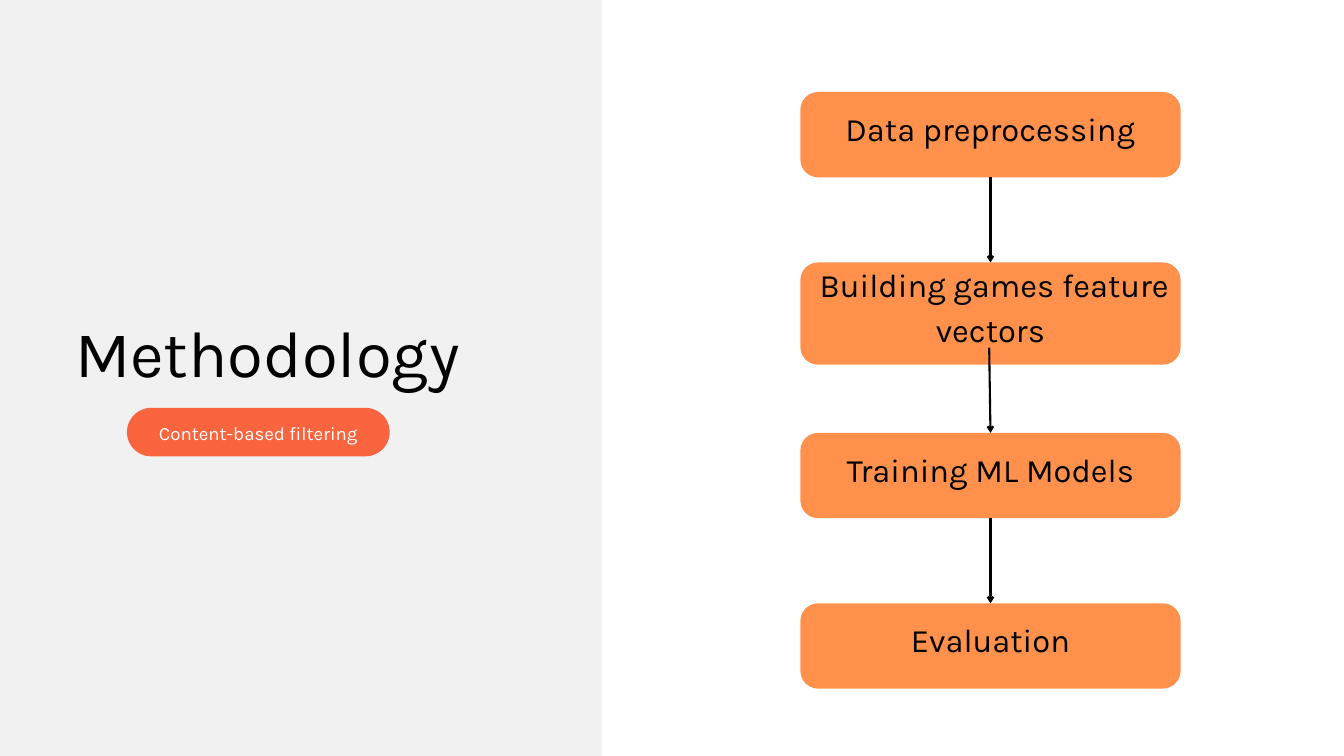
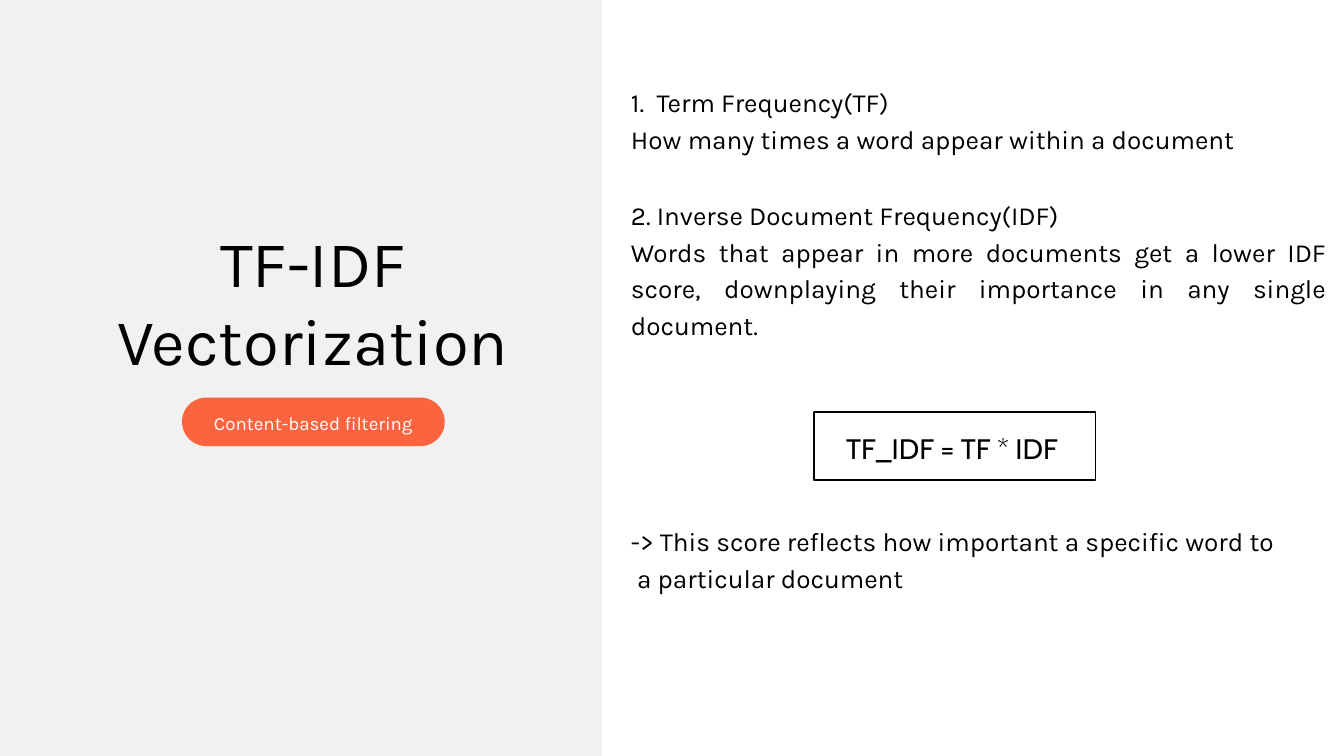
from lxml.etree import SubElement
from pptx import Presentation
from pptx.dml.color import RGBColor
from pptx.enum.shapes import MSO_CONNECTOR, MSO_SHAPE
from pptx.enum.text import MSO_ANCHOR, MSO_AUTO_SIZE, PP_ALIGN
from pptx.oxml.ns import qn
from pptx.util import Pt

BLACK = RGBColor(0x00, 0x00, 0x00)
WHITE = RGBColor(0xFF, 0xFF, 0xFF)
GREY = RGBColor(0xF1, 0xF1, 0xF1)
CORAL = RGBColor(0xFA, 0x64, 0x3F)
ORANGE = RGBColor(0xFF, 0x91, 0x4D)

WIDE, HIGH = 1440, 810
PANEL = 645
TAG = "Content-based filtering"

# label, box height
STEPS = [
    ("Data preprocessing", 91.4),
    (" Building games feature vectors", 109.6),
    ("Training ML Models", 91.4),
    ("Evaluation", 91.4),
]
STEP_X, STEP_Y, STEP_W = 857.5, 98.6, 407.5
STEP_H, PITCH = 91.4, 182.6

TERMS = [
    ["1.  Term Frequency(TF)",
     "How many times a word appear within a document"],
    ["2. Inverse Document Frequency(IDF)",
     "Words that appear in more documents get a lower IDF score, "
     "downplaying their importance in any single document."],
]
FORMULA = "TF_IDF = TF * IDF"
NOTE = ["-> This score reflects how important a specific word to",
        " a particular document "]
TEXT_X = 676


def place(shape, left, top, width, height):
    shape.left, shape.top = Pt(left), Pt(top)
    shape.width, shape.height = Pt(width), Pt(height)


def write(shape, lines, size=28, lead=39.2, color=BLACK, font="Karla",
          align=PP_ALIGN.JUSTIFY, anchor=MSO_ANCHOR.TOP, inset=(0, 0, 0, 0)):
    """Fill a shape with one paragraph per line; inset is left, top, right, bottom."""
    frame = shape.text_frame
    frame.word_wrap = True
    frame.auto_size = MSO_AUTO_SIZE.NONE
    frame.vertical_anchor = anchor
    (frame.margin_left, frame.margin_top,
     frame.margin_right, frame.margin_bottom) = map(Pt, inset)
    for i, line in enumerate(lines):
        para = frame.paragraphs[0] if i == 0 else frame.add_paragraph()
        para.alignment = align
        para.line_spacing = Pt(lead)
        para.space_before = para.space_after = Pt(0)
        run = para.add_run()
        run.text = line
        run.font.name, run.font.size = font, Pt(size)
        run.font.color.rgb = color
    return frame


def block(slide, kind, box, fill, line=None, radius=None):
    shape = slide.shapes.add_shape(kind, *map(Pt, box))
    shape.shadow.inherit = False
    shape.fill.solid()
    shape.fill.fore_color.rgb = fill
    if line is None:
        shape.line.fill.background()
    else:
        shape.line.color.rgb = line
        shape.line.width = Pt(1.5)
    if radius is not None:
        shape.adjustments[0] = radius / min(box[2:])
    return shape


def frame_slide(deck, layout, title, top, align, pill):
    """Add a slide with the grey panel, the title and the topic pill."""
    slide = deck.slides.add_slide(deck.slide_layouts[layout])
    panel = block(slide, MSO_SHAPE.RECTANGLE, (0, 0, PANEL, HIGH), GREY)
    panel.element.getparent().insert(2, panel.element)
    head = slide.shapes.title
    place(head, 80.6, top, 509, 84 * len(title))
    write(head, title, size=70, lead=84, align=align)
    tag = block(slide, MSO_SHAPE.ROUNDED_RECTANGLE, (*pill, 281.5, 52),
                CORAL, radius=26)
    write(tag, [TAG], size=20, lead=28, color=WHITE, align=PP_ALIGN.CENTER,
          anchor=MSO_ANCHOR.MIDDLE, inset=(0, 0, 0, 2))
    return slide


def arrow(slide, start, end, top):
    """Link two step boxes; a taller first box is entered from below its text."""
    mid = STEP_X + STEP_W / 2
    link = slide.shapes.add_connector(
        MSO_CONNECTOR.STRAIGHT, Pt(mid - 1.4), Pt(top + STEP_H),
        Pt(mid), Pt(top + PITCH))
    if start.height == Pt(STEP_H):
        link.begin_connect(start, 2)
    link.end_connect(end, 0)
    link.line.color.rgb = BLACK
    link.line.width = Pt(2.25)
    SubElement(link.line._get_or_add_ln(), qn("a:tailEnd"), type="arrow")
    SubElement(link.element.spPr, qn("a:effectLst"))


def add_flow(deck):
    slide = frame_slide(deck, 5, ["Methodology"], 334, PP_ALIGN.LEFT,
                        (136, 437))
    boxes = []
    for i, (label, tall) in enumerate(STEPS):
        box = block(slide, MSO_SHAPE.ROUNDED_RECTANGLE,
                    (STEP_X, STEP_Y + i * PITCH, STEP_W, tall),
                    ORANGE, radius=19)
        write(box, [label], size=35, lead=49, align=PP_ALIGN.CENTER,
              anchor=MSO_ANCHOR.MIDDLE, inset=(4, 0, 4, 21))
        boxes.append(box)
    for i, (start, end) in enumerate(zip(boxes, boxes[1:])):
        arrow(slide, start, end, STEP_Y + i * PITCH)


def add_terms(deck):
    slide = frame_slide(deck, 1, ["TF-IDF", "Vectorization"], 237.6,
                        PP_ALIGN.CENTER, (195, 426))
    body = slide.placeholders[1]
    place(body, TEXT_X, 87, 744.5, 278)
    frame = write(body, sum(TERMS, []))
    for para in frame.paragraphs:
        props = para._p.get_or_add_pPr()
        props.set("marL", "0")
        props.set("indent", "0")
        SubElement(props, qn("a:buNone"))
    frame.paragraphs[len(TERMS[0])].space_before = Pt(42.6)

    rule = block(slide, MSO_SHAPE.RECTANGLE, (872, 441.5, 301.5, 73),
                 WHITE, line=BLACK)
    write(rule, [FORMULA], size=30.2, lead=42.3, font="Cabin",
          anchor=MSO_ANCHOR.MIDDLE, inset=(34.5, 0, 34.5, 2))
    note = slide.shapes.add_textbox(*map(Pt, (TEXT_X, 557.3, 707, 78)))
    write(note, NOTE)


def main():
    deck = Presentation()
    deck.slide_width, deck.slide_height = Pt(WIDE), Pt(HIGH)
    add_flow(deck)
    add_terms(deck)
    deck.save("out.pptx")


if __name__ == "__main__":
    main()
